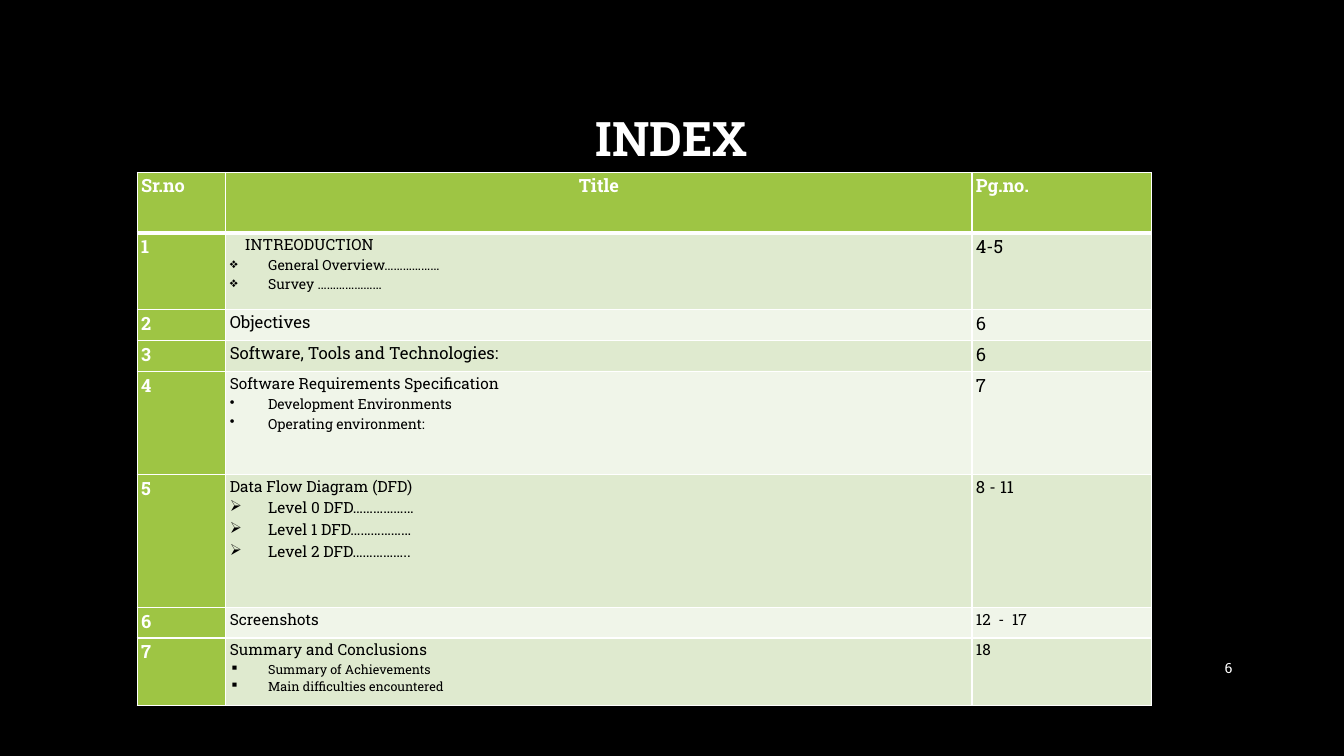
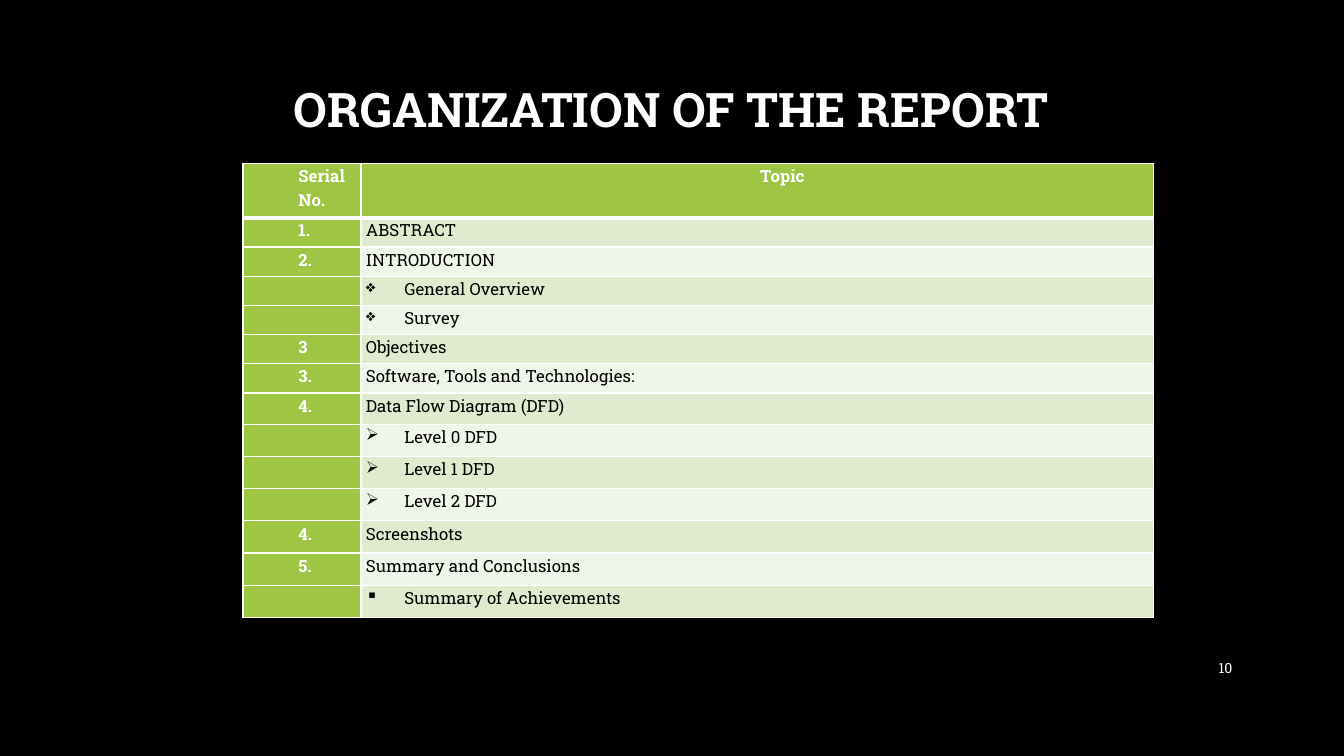
from dataclasses import dataclass

from lxml.etree import SubElement
from pptx import Presentation
from pptx.dml.color import RGBColor
from pptx.enum.text import MSO_ANCHOR, MSO_AUTO_SIZE, PP_ALIGN
from pptx.oxml.ns import qn
from pptx.util import Emu, Pt

PX = 9144
FONT = "Roboto Slab"
COLORS = {"back": "000000", "white": "FFFFFF", "ink": "000000",
          "green": "9EC544", "odd": "DFEACF", "even": "F0F5E9"}
HANG = 38


@dataclass
class Line:
    """One paragraph of a table cell."""
    text: str
    size: int
    bullet: str = ""
    indent: int = 0
    align: PP_ALIGN = PP_ALIGN.LEFT


def px(n):
    """Turn px into EMU."""
    return Emu(n * PX)


def rgb(name):
    """Look up a named colour."""
    return RGBColor.from_string(COLORS[name])


def assign(obj, values):
    """Set every attribute in a dict of format values."""
    for name, value in values.items():
        setattr(obj, name, value)


def place(shape, x, y, w, h):
    """Position and size a shape in px."""
    assign(shape, {"left": px(x), "top": px(y), "width": px(w), "height": px(h)})


def write(p, text, size, color, bold=False):
    """Add one formatted run to a paragraph."""
    r = p.add_run()
    r.text = text
    assign(r.font, {"name": FONT, "size": Pt(size), "bold": bold})
    r.font.color.rgb = rgb(color)


def add_slide(prs, title, number, below=5):
    """Add a slide with its title and page number."""
    s = prs.slides.add_slide(prs.slide_layouts.get_by_name("Title Only"))
    place(s.shapes.title, 100, 67, 1132, 145)
    tf = s.shapes.title.text_frame
    assign(tf, {"word_wrap": True, "auto_size": MSO_AUTO_SIZE.NONE,
                "vertical_anchor": MSO_ANCHOR.MIDDLE, "margin_bottom": px(below)})
    p = tf.paragraphs[0]
    assign(p, {"alignment": PP_ALIGN.CENTER, "line_spacing": 0.9})
    write(p, title, 34, "white", True)

    tf = s.shapes.add_textbox(px(1150), px(643), px(82), px(40)).text_frame
    assign(tf, {"word_wrap": True, "vertical_anchor": MSO_ANCHOR.MIDDLE})
    p = tf.paragraphs[0]
    p.alignment = PP_ALIGN.RIGHT
    write(p, number, 10, "white")
    return s


def set_borders(cell, row):
    """Draw white cell edges, with a heavy rule below the header row."""
    tc_pr = cell._tc.get_or_add_tcPr()
    heavy = {(0, "lnB"), (1, "lnT")}
    for side in ("lnL", "lnR", "lnT", "lnB"):
        width = Pt(3 if (row, side) in heavy else 1)
        ln = SubElement(tc_pr, qn(f"a:{side}"), w=str(width))
        fill = SubElement(ln, qn("a:solidFill"))
        SubElement(fill, qn("a:srgbClr"), val=COLORS["white"])


def fill_cell(cell, lines, row, col, inset):
    """Format a cell and write its lines."""
    head = row == 0 or col == 0
    assign(cell, {"margin_left": px(inset), "margin_right": px(inset),
                  "margin_top": 0, "margin_bottom": 0})
    set_borders(cell, row)
    cell.fill.solid()
    cell.fill.fore_color.rgb = rgb("green" if head else "odd" if row % 2 else "even")
    tf = cell.text_frame
    if not lines:
        SubElement(tf.paragraphs[0]._p, qn("a:endParaRPr"), sz="1200")
    for i, line in enumerate(lines):
        p = tf.add_paragraph() if i else tf.paragraphs[0]
        p_pr = p._p.get_or_add_pPr()
        p_pr.set("marL", str(px(HANG if line.bullet else line.indent)))
        p_pr.set("indent", str(px(-HANG if line.bullet else 0)))
        if line.bullet:
            SubElement(p_pr, qn("a:buChar"), char=line.bullet)
        assign(p, {"alignment": line.align, "line_spacing": 1.07})
        write(p, line.text, line.size, "white" if head else "ink", head)


def add_grid(s, x, y, widths, heights, rows, inset):
    """Add a table from rows of cells, each a list of lines."""
    table = s.shapes.add_table(len(heights), len(widths), px(x), px(y),
                               px(sum(widths)), px(sum(heights))).table
    for column, w in zip(table.columns, widths):
        column.width = px(w)
    for r, (h, cells) in enumerate(zip(heights, rows)):
        table.rows[r].height = px(h)
        for c, lines in enumerate(cells):
            fill_cell(table.cell(r, c), lines, r, c, inset)


def add_index(prs):
    """Build the index slide."""
    s = add_slide(prs, "INDEX", "6")
    topics = [
        ([Line("INTREODUCTION", 11, indent=15),
          Line("General Overview………………", 10, "❖"),
          Line("Survey …………………", 10, "❖")], "4-5", 13),
        ([Line("Objectives", 12)], "6", 13),
        ([Line("Software, Tools and Technologies:", 12)], "6", 13),
        ([Line("Software Requirements Specification", 11),
          Line("Development Environments", 10, "•"),
          Line("Operating environment:", 10, "•")], "7", 13),
        ([Line("Data Flow Diagram (DFD)", 11),
          Line("Level 0 DFD………………", 11, "➢"),
          Line("Level 1 DFD………………", 11, "➢"),
          Line("Level 2 DFD……………..", 11, "➢")], "8 - 11", 12),
        ([Line("Screenshots", 11)], "12  -  17", 11),
        ([Line("Summary and Conclusions", 11),
          Line("Summary of Achievements", 9, "▪"),
          Line("Main difficulties encountered", 9, "▪")], "18", 11),
    ]
    rows = [[[Line("Sr.no", 13)], [Line("Title", 13, align=PP_ALIGN.CENTER)],
             [Line("Pg.no.", 13)]]]
    rows += [[[Line(str(n), 13)], lines, [Line(pages, size)]]
             for n, (lines, pages, size) in enumerate(topics, 1)]
    add_grid(s, 136, 171, [88, 740, 178], [60, 76, 31, 31, 102, 132, 30, 67], rows, 4)


def add_organization(prs):
    """Build the report organization slide."""
    s = add_slide(prs, "ORGANIZATION OF THE REPORT", "10", below=61)
    topics = [
        ("1.", "ABSTRACT", ""), ("2.", "INTRODUCTION", ""),
        ("", "General Overview", "❖"), ("", "Survey", "❖"),
        ("3", "Objectives", ""), ("3.", "Software, Tools and Technologies:", ""),
        ("4.", "Data Flow Diagram (DFD)", ""), ("", "Level 0 DFD", "➢"),
        ("", "Level 1 DFD", "➢"), ("", "Level 2 DFD", "➢"),
        ("4.", "Screenshots", ""), ("5.", "Summary and Conclusions", ""),
        ("", "Summary of Achievements", "▪"),
    ]
    rows = [[[Line(word, 12, indent=50) for word in ("Serial", "No.")],
             [Line("Topic", 12, indent=50, align=PP_ALIGN.CENTER)]]]
    rows += [[[Line(number, 12, indent=50)] if number else [], [Line(text, 12, bullet)]]
             for number, text, bullet in topics]
    add_grid(s, 241, 162, [117, 786], [54] + [29] * 6 + [31] + [32] * 6, rows, 5)


def main():
    """Build and save the presentation."""
    prs = Presentation()
    assign(prs, {"slide_width": px(1333), "slide_height": px(750)})
    fill = prs.slide_master.background.fill
    fill.solid()
    fill.fore_color.rgb = rgb("back")
    add_index(prs)
    add_organization(prs)
    prs.save("out.pptx")


if __name__ == "__main__":
    main()
